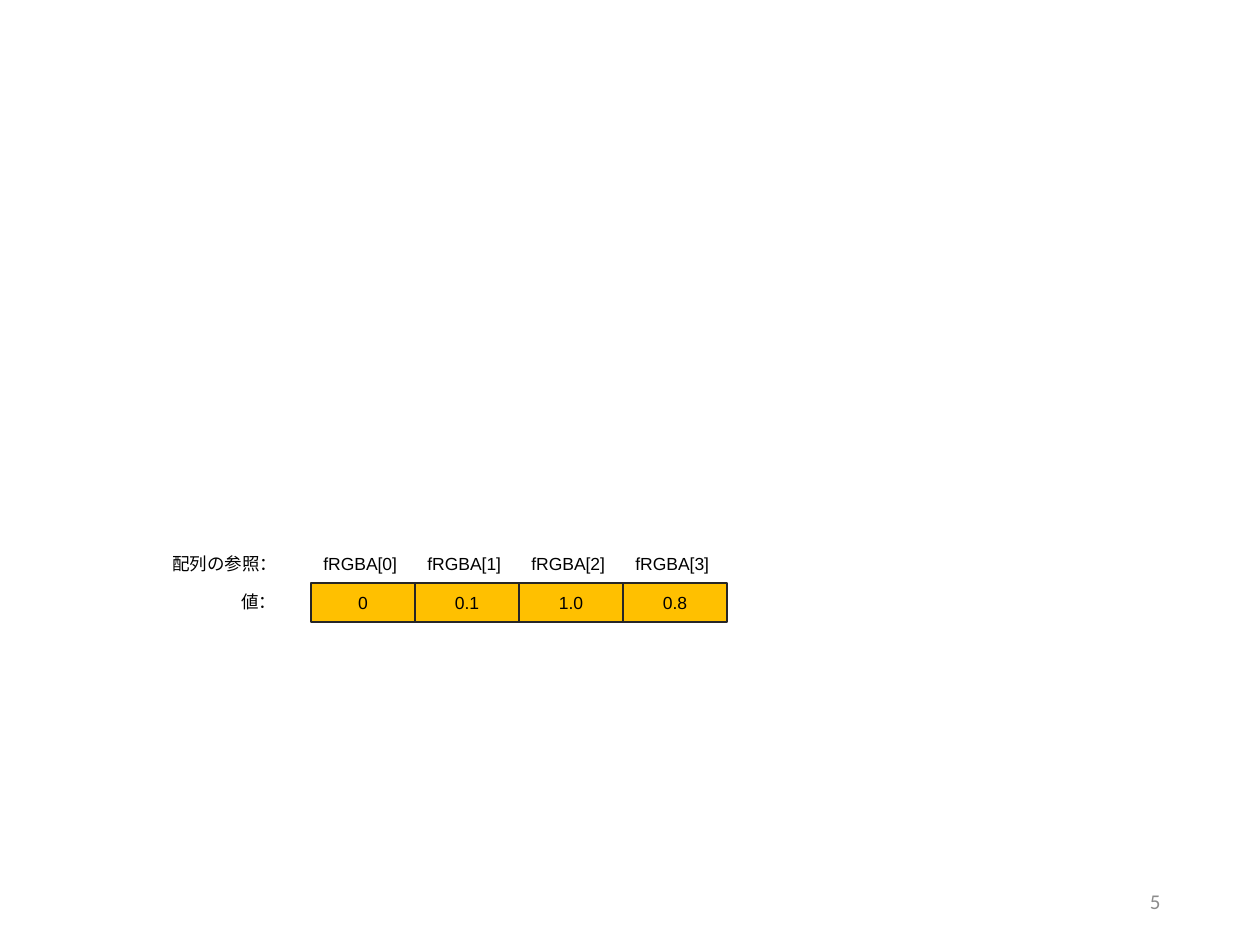
from dataclasses import dataclass

from pptx import Presentation
from pptx import util as u
from pptx.dml.color import RGBColor
from pptx.enum import shapes, text

ELEMENTS = [("fRGBA[0]", "0"), ("fRGBA[1]", "0.1"), ("fRGBA[2]", "1.0"), ("fRGBA[3]", "0.8")]
ROW_LABELS = [("配列の参照：", 160, 544, 139), ("値：", 229, 582, 64)]
PAGE_NUMBER = "5"

PX = u.Inches(1) / 126
SLIDE_WIDTH, SLIDE_HEIGHT = 1260, 945
ARRAY_LEFT, REFERENCE_TOP, VALUE_TOP = 311, 544, 583
CELL_WIDTH, CELL_HEIGHT = 104, 39


@dataclass(frozen=True)
class Theme:
    cell: str = "FFC000"
    border: str = "262626"
    ink: str = "000000"
    muted: str = "8C8C8C"
    body_font: str = "Arial"
    number_font: str = "Calibri"
    body_size: int = 10
    number_size: int = 12
    border_width: int = 1


THEME = Theme()


def px(value):
    return u.Emu(round(value * PX))


def write(shape, content, *, font=THEME.body_font, size=THEME.body_size,
          color=THEME.ink, align=text.PP_ALIGN.LEFT, wrap=False):
    frame = shape.text_frame
    frame.word_wrap = wrap
    frame.vertical_anchor = text.MSO_ANCHOR.MIDDLE
    paragraph = frame.paragraphs[0]
    paragraph.alignment = align
    run = paragraph.add_run()
    run.text = content
    run.font.name = font
    run.font.size = u.Pt(size)
    run.font.color.rgb = RGBColor.from_string(color)


def add_label(slide, content, box, **style):
    write(slide.shapes.add_textbox(*map(px, box)), content, **style)


def add_cell(slide, content, box):
    cell = slide.shapes.add_shape(shapes.MSO_SHAPE.RECTANGLE, *map(px, box))
    cell.shadow.inherit = False
    cell.fill.solid()
    cell.fill.fore_color.rgb = RGBColor.from_string(THEME.cell)
    cell.line.color.rgb = RGBColor.from_string(THEME.border)
    cell.line.width = u.Pt(THEME.border_width)
    write(cell, content, align=text.PP_ALIGN.CENTER)


def main():
    presentation = Presentation()
    presentation.slide_width = px(SLIDE_WIDTH)
    presentation.slide_height = px(SLIDE_HEIGHT)
    slide = presentation.slides.add_slide(presentation.slide_layouts[6])

    add_label(slide, PAGE_NUMBER, (890, 876, 283, 50), font=THEME.number_font,
              size=THEME.number_size, color=THEME.muted,
              align=text.PP_ALIGN.RIGHT, wrap=True)
    for index, (reference, value) in enumerate(ELEMENTS):
        left = ARRAY_LEFT + index * CELL_WIDTH
        add_cell(slide, value, (left, VALUE_TOP, CELL_WIDTH, CELL_HEIGHT))
        add_label(slide, reference, (left, REFERENCE_TOP, CELL_WIDTH, CELL_HEIGHT))
    for label, left, top, width in ROW_LABELS:
        add_label(slide, label, (left, top, width, CELL_HEIGHT))

    presentation.save("out.pptx")


if __name__ == "__main__":
    main()
